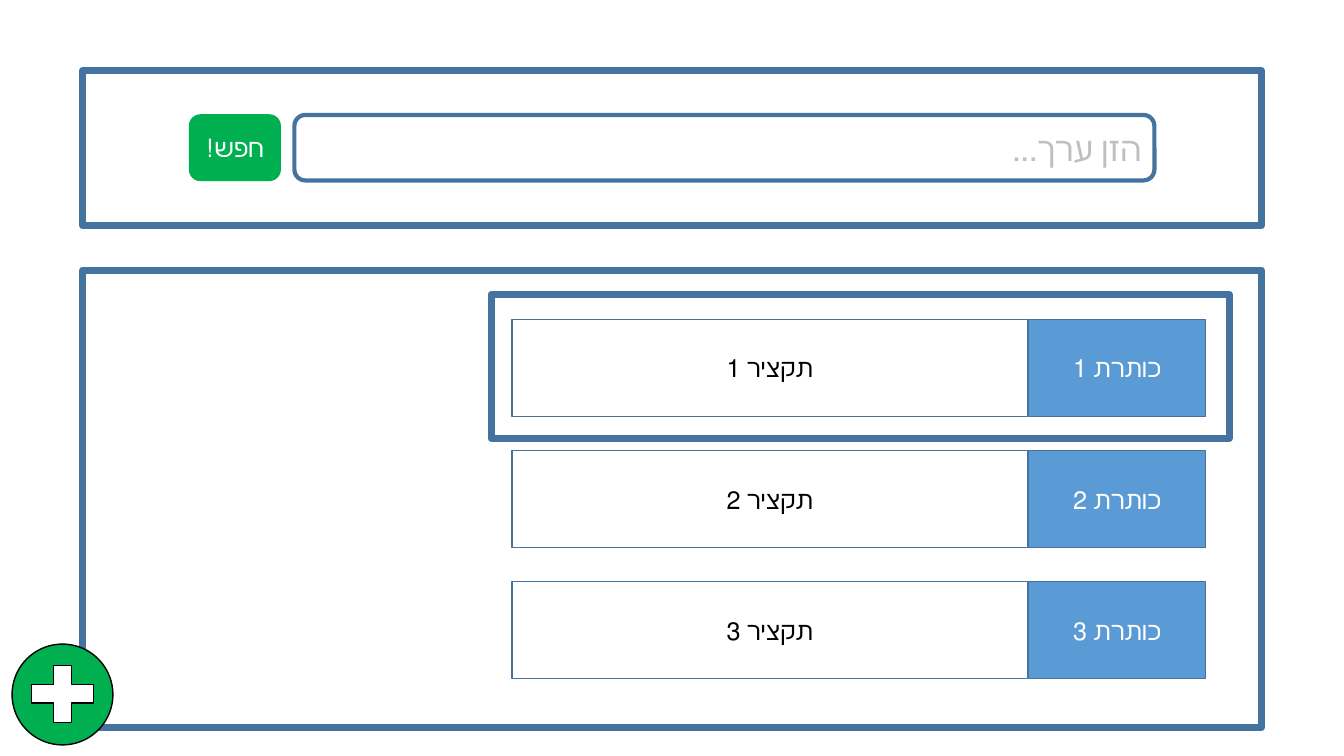
"""Build a right-to-left search page mock-up with a results list and an add button."""
from pptx import Presentation
from pptx.dml.color import RGBColor
from pptx.enum.shapes import MSO_SHAPE
from pptx.enum.text import MSO_ANCHOR, PP_ALIGN
from pptx.util import Inches, Pt

BLUE = RGBColor(0x5B, 0x9B, 0xD5)
DARK_BLUE = RGBColor(0x43, 0x73, 0x9E)
GREEN = RGBColor(0x00, 0xB0, 0x50)
GREY = RGBColor(0xBF, 0xBF, 0xBF)
WHITE = RGBColor(0xFF, 0xFF, 0xFF)
BLACK = RGBColor(0x00, 0x00, 0x00)


def add_box(shapes, kind, at, fill, line, width):
    box = shapes.add_shape(kind, *[Inches(length) for length in at])
    box.shadow.inherit = False
    if fill is None:
        box.fill.background()
    else:
        box.fill.solid()
        box.fill.fore_color.rgb = fill
    box.line.color.rgb = line
    box.line.width = Pt(width)
    return box


def write(box, text, color, size=18, align=PP_ALIGN.CENTER):
    frame = box.text_frame
    frame.word_wrap = True
    frame.vertical_anchor = MSO_ANCHOR.MIDDLE
    paragraph = frame.paragraphs[0]
    paragraph.alignment = align
    paragraph._p.get_or_add_pPr().set("rtl", "1")
    run = paragraph.add_run()
    run.text = text
    for key, value in {"name": "Calibri", "size": Pt(size)}.items():
        setattr(run.font, key, value)
    run.font.color.rgb = color


prs = Presentation()
prs.slide_width = Inches(13.33)
prs.slide_height = Inches(7.5)
shapes = prs.slides.add_slide(prs.slide_layouts[6]).shapes

search_field = add_box(shapes, MSO_SHAPE.ROUNDED_RECTANGLE, (2.92, 1.14, 8.53, 0.65), WHITE, DARK_BLUE, 3)
write(search_field, "הזן ערך...", GREY, 24, PP_ALIGN.RIGHT)
search_button = add_box(shapes, MSO_SHAPE.ROUNDED_RECTANGLE, (1.88, 1.14, 0.9, 0.65), GREEN, GREEN, 1)
write(search_button, "חפש!", WHITE)

for top, height in ((0.7, 1.54), (2.68, 4.54)):
    add_box(shapes, MSO_SHAPE.RECTANGLE, (0.82, top, 11.69, height), None, DARK_BLUE, 5)

for left, width, word, fill, color in (
    (10.2, 1.76, "כותרת", BLUE, WHITE),
    (5.08, 5.11, "תקציר", WHITE, BLACK),
):
    for row in range(3):
        result = add_box(shapes, MSO_SHAPE.RECTANGLE, (left, 3.17 + 1.3 * row, width, 0.96), fill, DARK_BLUE, 1)
        write(result, f"{word} {row + 1}", color)

add_box(shapes, MSO_SHAPE.RECTANGLE, (4.87, 2.92, 7.32, 1.43), None, DARK_BLUE, 5)

add_button = shapes.add_group_shape()
add_box(add_button.shapes, MSO_SHAPE.OVAL, (0.12, 6.39, 1, 1), GREEN, BLACK, 1)
add_box(add_button.shapes, MSO_SHAPE.MATH_PLUS, (0.2, 6.5, 0.84, 0.77), WHITE, BLACK, 1)

prs.save("out.pptx")
